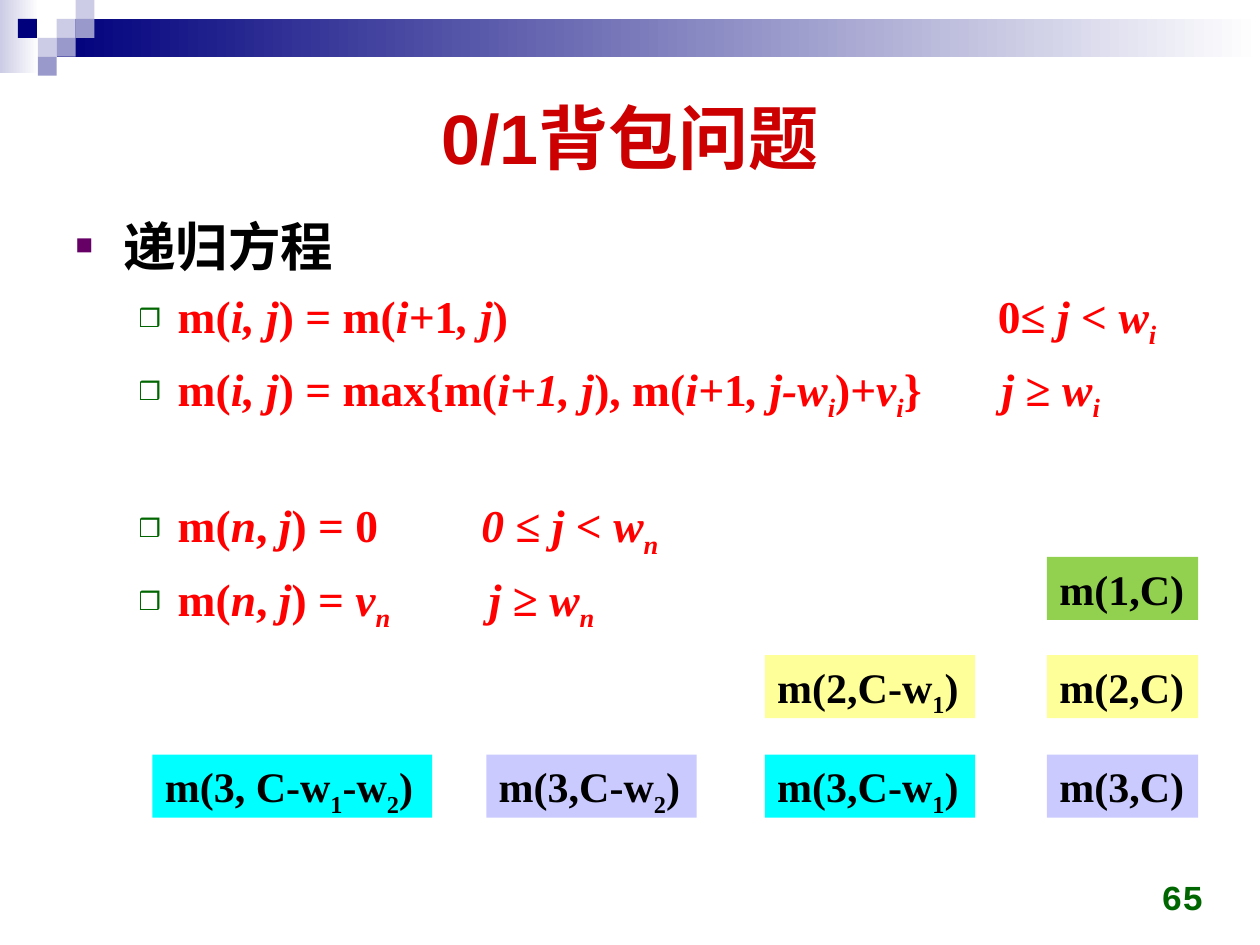
from dataclasses import dataclass

from lxml import etree
from pptx import Presentation
from pptx.dml.color import RGBColor
from pptx.enum.shapes import MSO_SHAPE
from pptx.enum.text import MSO_ANCHOR, MSO_AUTO_SIZE, PP_ALIGN
from pptx.oxml.ns import qn
from pptx.util import Inches, Pt

RECTANGLE = MSO_SHAPE.RECTANGLE
TOP, MIDDLE, BOTTOM = MSO_ANCHOR.TOP, MSO_ANCHOR.MIDDLE, MSO_ANCHOR.BOTTOM
FIT_SHAPE, FIT_NONE = MSO_AUTO_SIZE.SHAPE_TO_FIT_TEXT, MSO_AUTO_SIZE.NONE
LEFT, CENTER, RIGHT = PP_ALIGN.LEFT, PP_ALIGN.CENTER, PP_ALIGN.RIGHT

BLACK = RGBColor(0x00, 0x00, 0x00)
WHITE = RGBColor(0xFF, 0xFF, 0xFF)
NAVY = RGBColor(0x00, 0x00, 0x7D)
PALE = RGBColor(0xCC, 0xCC, 0xE6)
PERIWINKLE = RGBColor(0x99, 0x99, 0xCC)
CRIMSON = RGBColor(0xCC, 0x00, 0x00)
RED = RGBColor(0xFF, 0x00, 0x00)
PURPLE = RGBColor(0x66, 0x00, 0x66)
GREEN = RGBColor(0x00, 0x66, 0x00)
LIME = RGBColor(0x92, 0xD0, 0x50)
YELLOW = RGBColor(0xFF, 0xFF, 0x99)
CYAN = RGBColor(0x00, 0xFF, 0xFF)
LILAC = RGBColor(0xCA, 0xCA, 0xFF)


@dataclass
class Piece:
    text: str
    italic: bool = False
    subscript: bool = False


@dataclass
class Bullet:
    char: str
    color: RGBColor
    margin: float
    hanging: float


@dataclass
class Equation:
    pieces: list[Piece]
    condition_at: float
    space_before: float = 4.5


@dataclass
class Band:
    left: float
    top: float
    width: float
    height: float
    start: RGBColor


@dataclass
class Subproblem:
    left: float
    row: int
    width: float
    fill: RGBColor
    pieces: list[Piece]


def roman(text: str) -> Piece:
    return Piece(text)


def italic(text: str) -> Piece:
    return Piece(text, italic=True)


def sub(text: str, slanted: bool = True) -> Piece:
    return Piece(text, slanted, True)


def term(name: str, index: str) -> list[Piece]:
    return [roman(name), sub(index, False)]


TITLE_FONT = {"name": "Arial", "size": Pt(40), "bold": True}
HEADING_FONT = {"name": "Arial", "size": Pt(30), "bold": True}
EQUATION_FONT = {"name": "Times New Roman", "size": Pt(26), "bold": True}
BOX_FONT = {"name": "Times New Roman", "size": Pt(24), "bold": True}
NUMBER_FONT = {"name": "Courier New", "size": Pt(20), "bold": True}

HEADING_BULLET = Bullet("■", PURPLE, 0.38, 0.38)
EQUATION_BULLET = Bullet("❒", GREEN, 0.81, 0.31)

I_J = [roman("m("), italic("i, j")]
N_J = [roman("m("), italic("n"), roman(", "), italic("j")]
W_I = [italic("w"), sub("i")]
W_N = [italic("w"), sub("n")]
EQUATIONS = [
    Equation([*I_J, roman(") = m("), italic("i+"), roman("1"), italic(", j"),
              roman(")\t0≤ "), italic("j"), roman(" < "), *W_I], 7.32),
    Equation([*I_J, roman(") = max{m("), italic("i+1, j"), roman("), m("),
              italic("i+"), roman("1"), italic(", j-w"), sub("i"), roman(")+"),
              italic("v"), sub("i"), roman("}\t"), italic("j"), roman(" ≥ "),
              *W_I], 7.35),
    Equation([*N_J, roman(") = 0\t"), italic("0 "), roman("≤ "), italic("j"),
              roman(" < "), *W_N], 3.22, 41),
    Equation([*N_J, roman(") = "), italic("v"), sub("n"), italic("\tj "),
              roman("≥ "), *W_N], 3.28),
]

BANDS = [Band(0, 0, 0.31, 0.58, PALE), Band(0.45, 0.15, 9.55, 0.3, NAVY)]
TILE = 0.15
TILES = [(3, 1, PALE), (4, 0, PALE), (4, 1, PERIWINKLE), (2, 2, PALE),
         (0.95, 1, NAVY), (3, 2, PERIWINKLE), (2, 3, PERIWINKLE)]

ROW_TOPS = [4.42, 5.2, 5.99]
SUBPROBLEMS = [
    Subproblem(8.31, 0, 1.2, LIME, [roman("m(1,C)")]),
    Subproblem(6.07, 1, 1.67, YELLOW, [*term("m(2,C-w", "1"), roman(")")]),
    Subproblem(8.31, 1, 1.2, YELLOW, [roman("m(2,C)")]),
    Subproblem(1.21, 2, 2.22, CYAN,
               [*term("m(3, C-w", "1"), *term("-w", "2"), roman(")")]),
    Subproblem(3.86, 2, 1.67, LILAC, [*term("m(3,C-w", "2"), roman(")")]),
    Subproblem(6.07, 2, 1.67, CYAN, [*term("m(3,C-w", "1"), roman(")")]),
    Subproblem(8.31, 2, 1.2, LILAC, [roman("m(3,C)")]),
]


def place(shape, left: float, top: float, width: float, height: float) -> None:
    box = {"left": left, "top": top, "width": width, "height": height}
    for side, length in box.items():
        setattr(shape, side, Inches(length))


def write(paragraph, pieces: list[Piece], style: dict, color: RGBColor) -> None:
    for piece in pieces:
        run = paragraph.add_run()
        run.text = piece.text
        for attribute, value in {**style, "italic": piece.italic}.items():
            setattr(run.font, attribute, value)
        run.font.color.rgb = color
        if piece.subscript:
            run._r.get_or_add_rPr().set("baseline", "-25000")


def add_bullet(paragraph, bullet: Bullet) -> None:
    properties = paragraph._p.get_or_add_pPr()
    properties.set("marL", str(Inches(bullet.margin)))
    properties.set("indent", str(-Inches(bullet.hanging)))
    color = etree.SubElement(properties, qn("a:buClr"))
    etree.SubElement(color, qn("a:srgbClr"), val=str(bullet.color))
    etree.SubElement(properties, qn("a:buSzPct"), val="55000")
    etree.SubElement(properties, qn("a:buFont"), typeface="Arial")
    etree.SubElement(properties, qn("a:buChar"), char=bullet.char)


def add_tab(paragraph, position: float) -> None:
    tabs = etree.SubElement(paragraph._p.get_or_add_pPr(), qn("a:tabLst"))
    etree.SubElement(tabs, qn("a:tab"), pos=str(Inches(position)), algn="l")


def add_rectangle(slide, left: float, top: float, width: float, height: float):
    shape = slide.shapes.add_shape(RECTANGLE, Inches(left), Inches(top),
                                   Inches(width), Inches(height))
    shape.shadow.inherit = False
    shape.line.fill.background()
    return shape


def fill_solid(shape, color: RGBColor) -> None:
    shape.fill.solid()
    shape.fill.fore_color.rgb = color


def draw_banner(slide) -> None:
    for band in BANDS:
        strip = add_rectangle(slide, band.left, band.top, band.width, band.height)
        strip.fill.gradient()
        strip.fill.gradient_angle = 0
        for stop, color in zip(strip.fill.gradient_stops, (band.start, WHITE)):
            stop.color.rgb = color
    for column, row, color in TILES:
        tile = add_rectangle(slide, column * TILE, row * TILE, TILE, TILE)
        fill_solid(tile, color)


def draw_title(title) -> None:
    place(title, 0.5, 0.5, 9, 1.16)
    title.text_frame.vertical_anchor = MIDDLE
    heading = title.text_frame.paragraphs[0]
    heading.alignment = CENTER
    write(heading, [roman("0/1背包问题")], TITLE_FONT, CRIMSON)


def draw_equations(body) -> None:
    place(body, 0.5, 1.62, 9, 5.2)
    frame = body.text_frame
    frame.auto_size = FIT_NONE
    heading = frame.paragraphs[0]
    heading.line_spacing, heading.space_before = 1.05, Pt(4.5)
    add_bullet(heading, HEADING_BULLET)
    write(heading, [roman("递归方程")], HEADING_FONT, BLACK)
    for equation in EQUATIONS:
        line = frame.add_paragraph()
        line.level = 1
        line.line_spacing, line.space_before = 1.05, Pt(equation.space_before)
        add_bullet(line, EQUATION_BULLET)
        add_tab(line, equation.condition_at)
        write(line, equation.pieces, EQUATION_FONT, RED)


def draw_subproblem(slide, item: Subproblem) -> None:
    box = add_rectangle(slide, item.left, ROW_TOPS[item.row], item.width, 0.5)
    fill_solid(box, item.fill)
    layout = {"word_wrap": False, "auto_size": FIT_SHAPE, "vertical_anchor": TOP}
    for attribute, value in layout.items():
        setattr(box.text_frame, attribute, value)
    label = box.text_frame.paragraphs[0]
    label.alignment = LEFT
    write(label, item.pieces, BOX_FONT, BLACK)


def draw_page_number(slide) -> None:
    corner = slide.shapes.add_textbox(Inches(7.32), Inches(6.83),
                                      Inches(2.33), Inches(0.5))
    corner.text_frame.word_wrap = True
    corner.text_frame.vertical_anchor = BOTTOM
    number = corner.text_frame.paragraphs[0]
    number.alignment = RIGHT
    write(number, [roman("65")], NUMBER_FONT, GREEN)


def main() -> None:
    deck = Presentation()
    deck.slide_width, deck.slide_height = Inches(10), Inches(7.5)
    slide = deck.slides.add_slide(deck.slide_layouts[1])
    draw_banner(slide)
    draw_title(slide.shapes.title)
    draw_equations(slide.placeholders[1])
    draw_page_number(slide)
    for item in SUBPROBLEMS:
        draw_subproblem(slide, item)
    deck.save("out.pptx")


if __name__ == "__main__":
    main()
